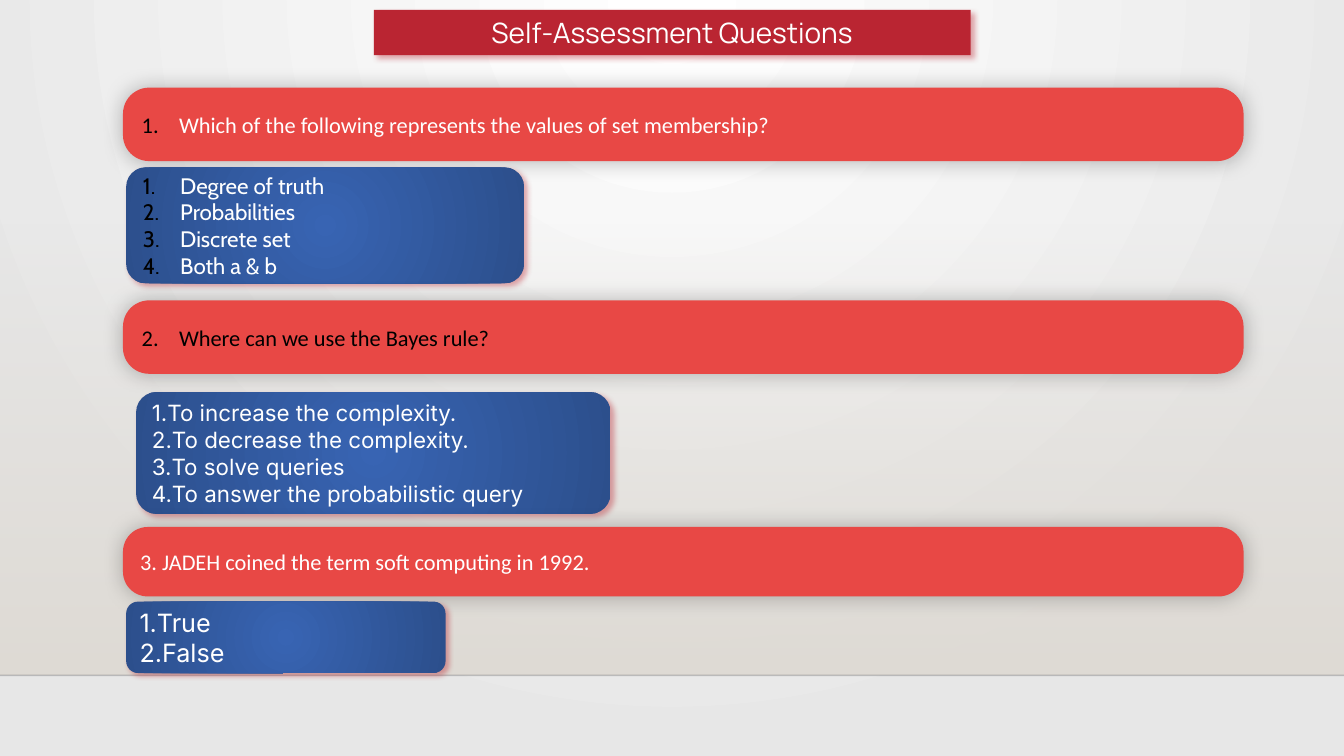
from dataclasses import dataclass

from lxml import etree
from pptx import Presentation
from pptx.dml.color import RGBColor
from pptx.enum.shapes import MSO_CONNECTOR, MSO_SHAPE
from pptx.enum.text import MSO_ANCHOR, MSO_AUTO_SIZE, PP_ALIGN
from pptx.oxml import parse_xml
from pptx.oxml.ns import nsdecls, qn
from pptx.util import Cm, Pt

ROUNDED, RECTANGLE = MSO_SHAPE.ROUNDED_RECTANGLE, MSO_SHAPE.RECTANGLE
STRAIGHT = MSO_CONNECTOR.STRAIGHT
MIDDLE, NO_AUTOFIT = MSO_ANCHOR.MIDDLE, MSO_AUTO_SIZE.NONE
LEFT, CENTER, JUSTIFY = PP_ALIGN.LEFT, PP_ALIGN.CENTER, PP_ALIGN.JUSTIFY
COMPARISON_LAYOUT = 4


@dataclass(frozen=True)
class Theme:
    white: str = "FFFFFF"
    black: str = "000000"
    backdrop: str = "E7E7E7"
    wall: str = "DFDBD5"
    floor_line: str = "000001"
    title: str = "BA2532"
    question: str = "E84845"
    answer_inner: str = "3864B3"
    answer_outer: str = "2C4F8C"
    title_size: int = 20
    text_size: int = 16
    large_size: int = 18


THEME = Theme()
# Shadows: colour, opacity %, blur pt, distance pt, direction in degrees
CARD_SHADOW = (THEME.title, 40, 4, 3, 45)
QUESTION_SHADOW = (THEME.black, 25, 15, 0, 0)
# Question and answer cards share these margins
HANGING = (Cm(0.97), Cm(-0.94))
FLUSH = (0, 0)


def set_all(target, values):
    for name, value in values.items():
        setattr(target, name, value)


def add_child(parent, tag, **attributes):
    child = etree.SubElement(parent, qn(tag))
    for name, value in attributes.items():
        child.set(name, str(value))
    return child


def add_color(parent, color, opacity=100):
    node = add_child(parent, "a:srgbClr", val=color)
    if opacity < 100:
        add_child(node, "a:alpha", val=opacity * 1000)


def set_gradient(parent, stops, focus=None):
    """Replace the solid fill; focus is left, top, right, bottom in percent."""
    gradient = parse_xml(f'<a:gradFill {nsdecls("a")} rotWithShape="1"/>')
    stop_list = add_child(gradient, "a:gsLst")
    for position, color, opacity in stops:
        add_color(add_child(stop_list, "a:gs", pos=position * 1000), color, opacity)
    if focus:
        circle = add_child(gradient, "a:path", path="circle")
        sides = {side: share * 1000 for side, share in zip("ltrb", focus)}
        add_child(circle, "a:fillToRect", **sides)
    else:
        add_child(gradient, "a:lin", ang=90 * 60000, scaled=0)
    solid = parent.find(qn("a:solidFill"))
    parent.replace(solid, gradient)


def add_shadow(shape, color, opacity, blur, distance, direction):
    effects = add_child(shape.element.spPr, "a:effectLst")
    shadow = add_child(effects, "a:outerShdw", blurRad=Pt(blur), dist=Pt(distance),
                       dir=direction * 60000, algn="ctr", rotWithShape=0)
    add_color(shadow, color, opacity)


def paint(shape, color):
    shape.fill.solid()
    shape.fill.fore_color.rgb = RGBColor.from_string(color)
    shape.line.fill.background()


def number_paragraph(paragraph, indent, number_color, start):
    properties = paragraph._p.get_or_add_pPr()
    properties.set("marL", str(indent[0]))
    properties.set("indent", str(indent[1]))
    add_color(add_child(properties, "a:buClr"), number_color)
    add_child(properties, "a:buFontTx")
    add_child(properties, "a:buAutoNum", type="arabicPeriod", startAt=start)


def write(shape, lines, font, size, color=THEME.white, align=LEFT,
          indent=None, number_color=THEME.white, start=1):
    frame = shape.text_frame
    set_all(frame, {"word_wrap": True, "auto_size": NO_AUTOFIT,
                    "vertical_anchor": MIDDLE,
                    "margin_left": Cm(0.25), "margin_right": Cm(0.25),
                    "margin_top": Cm(0.13), "margin_bottom": Cm(0.13)})
    frame.text = "\n".join(lines)
    for paragraph in frame.paragraphs:
        set_all(paragraph, {"alignment": align, "space_before": Pt(0)})
        if indent:
            number_paragraph(paragraph, indent, number_color, start)
        run_font = paragraph.runs[0].font
        set_all(run_font, {"name": font, "size": Pt(size), "bold": False})
        run_font.color.rgb = RGBColor.from_string(color)


def shape_placeholder(slide, placeholder, box, color):
    """Turn a placeholder into a rounded card on top of the backdrop."""
    set_all(placeholder, dict(zip(("left", "top", "width", "height"), map(Cm, box))))
    geometry = add_child(placeholder.element.spPr, "a:prstGeom", prst="roundRect")
    add_child(geometry, "a:avLst")
    paint(placeholder, color)
    add_shadow(placeholder, *CARD_SHADOW)
    slide.shapes._spTree.append(placeholder.element)


def add_backdrop(slide, width):
    slide.background.fill.solid()
    set_gradient(slide.element.find(".//" + qn("p:bgPr")),
                 [(0, THEME.white, 100), (100, THEME.backdrop, 100)], (43, 0, 43, 100))
    wall = slide.shapes.add_shape(RECTANGLE, 0, Cm(5.61), width, Cm(11.4))
    wall.shadow.inherit = False
    paint(wall, THEME.wall)
    set_gradient(wall.element.spPr, [(0, THEME.wall, 0), (100, THEME.wall, 100)])
    floor = slide.shapes.add_connector(STRAIGHT, 0, Cm(17.02), width, Cm(17.02))
    floor.line.width = Pt(1)
    floor.line.color.rgb = RGBColor.from_string(THEME.floor_line)
    add_child(floor.element.find(".//" + qn("a:srgbClr")), "a:alpha", val=20000)
    add_child(floor.element.spPr, "a:effectLst")


def add_title(slide, text):
    title = slide.shapes.title
    shape_placeholder(slide, title, (9.42, 0.25, 15.04, 1.14), THEME.title)
    write(title, [text], "Manrope", THEME.title_size, align=CENTER)


def add_question(slide, top, height, text, **text_format):
    bar = slide.shapes.add_shape(ROUNDED, Cm(3.1), Cm(top), Cm(28.24), Cm(height))
    bar.adjustments[0] = 0.356
    paint(bar, THEME.question)
    add_shadow(bar, *QUESTION_SHADOW)
    write(bar, [text], "Calibri", THEME.text_size, **text_format)


def add_answers(slide, index, box, lines, font, size, **text_format):
    answers = slide.placeholders[index]
    shape_placeholder(slide, answers, box, THEME.answer_inner)
    set_gradient(answers.element.spPr,
                 [(0, THEME.answer_inner, 100), (100, THEME.answer_outer, 100)],
                 (50, 50, 50, 50))
    write(answers, lines, font, size, **text_format)


def main():
    deck = Presentation()
    set_all(deck, {"slide_width": Cm(33.87), "slide_height": Cm(19.05)})
    slide = deck.slides.add_slide(deck.slide_layouts[COMPARISON_LAYOUT])
    add_backdrop(slide, deck.slide_width)
    add_title(slide, "Self-Assessment Questions")

    # Set membership
    hanging_black = {"indent": HANGING, "number_color": THEME.black}
    add_question(slide, 2.21, 1.85,
                 "Which of the following represents the values of set membership?",
                 **hanging_black)
    add_answers(slide, 1, (3.18, 4.22, 10.03, 2.92),
                ["Degree of truth", "Probabilities", "Discrete set", "Both a & b"],
                "Cabin", THEME.text_size, **hanging_black)

    # Bayes rule
    add_question(slide, 7.57, 1.85, "Where can we use the Bayes rule?",
                 color=THEME.black, start=2, **hanging_black)
    add_answers(slide, 2, (3.43, 9.88, 11.96, 3.07),
                ["To increase the complexity.", "To decrease the complexity.",
                 "To solve queries", "To answer the probabilistic query"],
                "Inter", THEME.text_size, indent=FLUSH)

    # Soft computing
    add_question(slide, 13.28, 1.75, "3. JADEH coined the term soft computing in 1992.")
    add_answers(slide, 3, (3.18, 15.16, 8.05, 1.8), ["True", "False"],
                "Inter", THEME.large_size, align=JUSTIFY, indent=FLUSH)

    # The layout's fourth body placeholder has no content here
    spare = slide.placeholders[4].element
    spare.getparent().remove(spare)
    deck.save("out.pptx")


if __name__ == "__main__":
    main()
